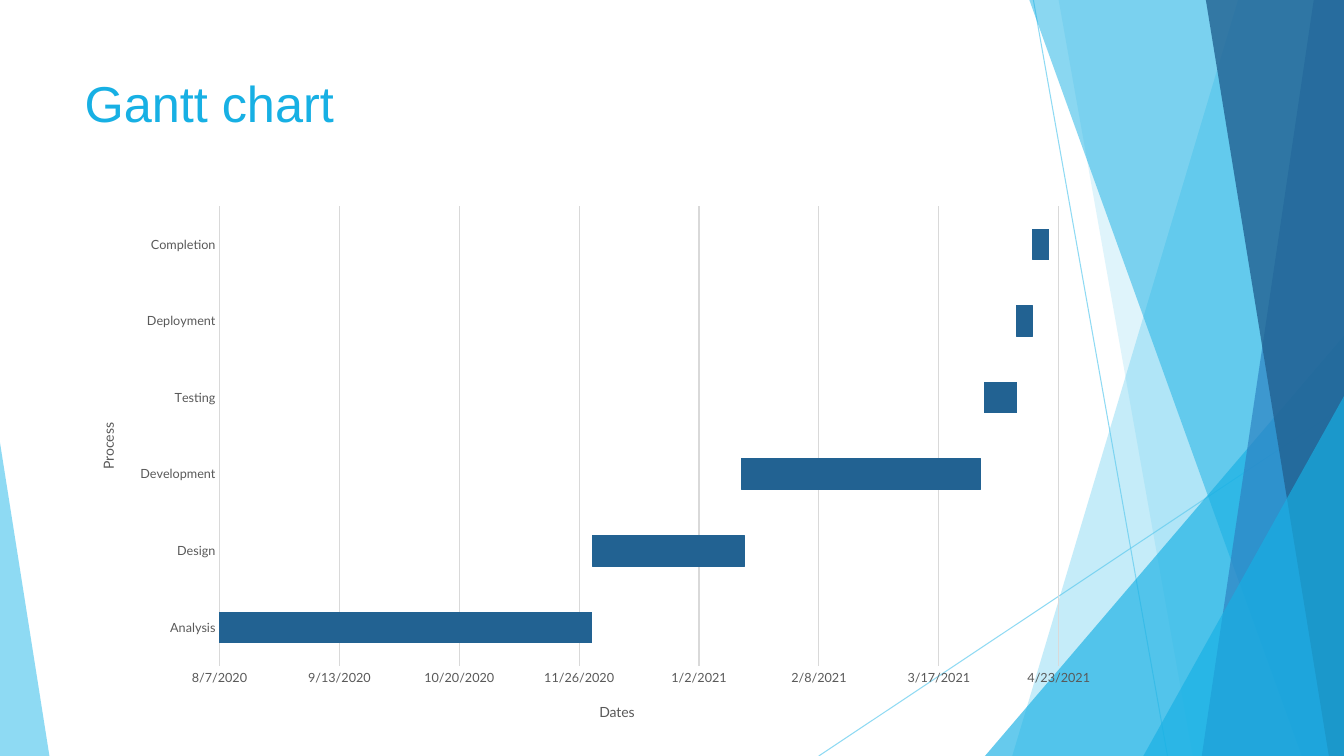
from typing import NamedTuple

import pptx
import pptx.chart.data
import pptx.dml.color
import pptx.enum.chart
import pptx.enum.shapes
import pptx.enum.text
import pptx.oxml
import pptx.oxml.ns
import pptx.util

SKY, CYAN, BLUE, NAVY = "5FCBEF", "17B0E4", "2E83C3", "226292"
GREY, PALE = "595959", "D9D9D9"
qn = pptx.oxml.ns.qn

prs = pptx.Presentation()
prs.slide_width = pptx.util.Inches(13.33)
prs.slide_height = pptx.util.Inches(7.5)


class Ray(NamedTuple):
    x1: float
    y1: float
    x2: float
    y2: float


class Band(NamedTuple):
    """Area right of a slanted edge from the slide's top to its bottom."""
    top_x: float
    bottom_x: float
    color: str
    opacity: int


class Corner(NamedTuple):
    """Right triangle standing on the bottom edge; apex 0 is left, 1 right."""
    left: float
    right: float
    top: float
    apex: int
    color: str
    opacity: int


class Task(NamedTuple):
    name: str
    start: int
    days: int


DECOR = [
    Ray(76.89, 0, 86.87, 100),
    Ray(100, 53.73, 60.92, 100),
    Band(92.12, 75.32, SKY, 36),
    Band(78.77, 88.75, SKY, 20),
    Corner(73.29, 100, 44.4, 1, CYAN, 66),
    Band(76.59, 96.85, CYAN, 50),
    Band(97.75, 89.42, BLUE, 70),
    Band(89.72, 98.87, NAVY, 80),
    Corner(85.07, 100, 52.4, 1, CYAN, 66),
    Corner(0, 3.68, 58.53, 0, SKY, 70),
]

# Days are spreadsheet serial dates; 44050 is 8/7/2020.
TASKS = [
    Task("Analysis", 44165, 0),
    Task("Design", 44165, 47),
    Task("Development", 44211, 74),
    Task("Testing", 44286, 10),
    Task("Deployment", 44296, 5),
    Task("Completion", 44301, 5),
]


def rgb(color: str) -> pptx.dml.color.RGBColor:
    return pptx.dml.color.RGBColor.from_string(color)


def across(percent: float) -> int:
    return round(prs.slide_width * percent / 100)


def down(percent: float) -> int:
    return round(prs.slide_height * percent / 100)


def set_opacity(sp, percent: int) -> None:
    for clr in sp.element.spPr.iter(qn("a:srgbClr")):
        pptx.oxml.ns  # namespace map used by qn
        clr.append(clr.makeelement(qn("a:alpha"), {"val": str(percent * 1000)}))


def paint(sp, color: str, opacity: int) -> None:
    sp.shadow.inherit = False
    sp.fill.solid()
    sp.fill.fore_color.rgb = rgb(color)
    sp.line.fill.background()
    set_opacity(sp, opacity)


def draw_ray(shapes, ray: Ray) -> None:
    line = shapes.add_connector(
        pptx.enum.shapes.MSO_CONNECTOR.STRAIGHT,
        across(ray.x1), down(ray.y1), across(ray.x2), down(ray.y2))
    line.line.color.rgb = rgb(SKY)
    line.line.width = pptx.util.Pt(0.75)
    set_opacity(line, 70)
    spPr = line.element.spPr
    spPr.append(spPr.makeelement(qn("a:effectLst"), {}))


def draw_band(shapes, band: Band) -> None:
    outline = shapes.build_freeform(across(band.top_x), 0)
    outline.add_line_segments([
        (across(100), 0), (across(100), down(100)),
        (across(band.bottom_x), down(100))], close=True)
    paint(outline.convert_to_shape(), band.color, band.opacity)


def draw_corner(shapes, corner: Corner) -> None:
    sp = shapes.add_shape(
        pptx.enum.shapes.MSO_SHAPE.ISOSCELES_TRIANGLE,
        across(corner.left), down(corner.top),
        across(corner.right - corner.left), down(100 - corner.top))
    sp.adjustments[0] = corner.apex
    paint(sp, corner.color, corner.opacity)


def set_layout(parent, index: int, **settings) -> None:
    """Give a chart part a manual layout in shares of the chart's size."""
    for old in parent.findall(qn("c:layout")):
        parent.remove(old)
    layout = parent.makeelement(qn("c:layout"), {})
    manual = layout.makeelement(qn("c:manualLayout"), {})
    layout.append(manual)
    for name, value in settings.items():
        manual.append(manual.makeelement(qn("c:" + name), {"val": str(value)}))
    parent.insert(index, layout)


def format_axis(axis, title: str, x: float, y: float, turn: int) -> None:
    axis.major_tick_mark = pptx.enum.chart.XL_TICK_MARK.NONE
    axis.minor_tick_mark = pptx.enum.chart.XL_TICK_MARK.NONE
    tf = axis.axis_title.text_frame
    tf.text = title
    for font, size in ((axis.tick_labels.font, 9),
                       (tf.paragraphs[0].runs[0].font, 10)):
        font.size = pptx.util.Pt(size)
        font.name = "Lato"
        font.bold = False
        font.color.rgb = rgb(GREY)
    for body in axis.axis_title.element.iter(qn("a:bodyPr")):
        body.set("rot", str(turn * 60000))
        body.set("vert", "horz")
    set_layout(axis.axis_title.element, 1, xMode="edge", yMode="edge", x=x, y=y)


def set_line(line, color: str) -> None:
    line.color.rgb = rgb(color)
    line.width = pptx.util.Pt(0.75)


def add_gantt(shapes) -> None:
    data = pptx.chart.data.CategoryChartData()
    data.categories = [task.name for task in TASKS]
    data.add_series("Series 1", [task.start for task in TASKS])
    data.add_series("Series 2", [task.days for task in TASKS])
    chart = shapes.add_chart(
        pptx.enum.chart.XL_CHART_TYPE.BAR_STACKED,
        across(5.55), down(23.87), across(79.29), down(73.87), data).chart
    chart.has_title = chart.has_legend = False
    chart.font.name = "Lato"
    chart.font.size = pptx.util.Pt(10)
    chart.font.color.rgb = rgb("000000")
    set_layout(chart.element.find(".//" + qn("c:plotArea")), 0,
               layoutTarget="inner", xMode="edge", yMode="edge",
               x=0.136, y=0.046, w=0.821, h=0.823)

    format_axis(chart.category_axis, "Process", 0.02, 0.43, -90)
    set_line(chart.category_axis.format.line, PALE)
    dates = chart.value_axis
    format_axis(dates, "Dates", 0.49, 0.93, 0)
    dates.minimum_scale, dates.maximum_scale, dates.major_unit = 44050, 44320, 37
    dates.tick_labels.number_format = "m/d/yyyy"
    dates.tick_labels.number_format_is_linked = False
    dates.format.line.fill.background()
    set_line(dates.major_gridlines.format.line, PALE)

    plot = chart.plots[0]
    plot.vary_by_categories = False
    plot.gap_width, plot.overlap = 150, 100
    starts, days = plot.series
    starts.format.fill.background()
    starts.format.line.fill.background()
    for bar in (starts.points[0], days):
        bar.format.fill.solid()
        bar.format.fill.fore_color.rgb = rgb(NAVY)
    set_line(days.format.line, NAVY)


def add_title(slide, text: str) -> None:
    title = slide.shapes.title
    title.left, title.top = across(5.55), down(8.93)
    title.width, title.height = across(70.52), down(19.2)
    tf = title.text_frame
    tf.text = text
    tf.auto_size = pptx.enum.text.MSO_AUTO_SIZE.NONE
    tf.vertical_anchor = pptx.enum.text.MSO_ANCHOR.TOP
    p = tf.paragraphs[0]
    p.alignment = pptx.enum.text.PP_ALIGN.LEFT
    font = p.runs[0].font
    font.name, font.size = "Arial", pptx.util.Pt(36)
    font.color.rgb = rgb(CYAN)


def main() -> None:
    slide = prs.slides.add_slide(prs.slide_layouts[5])
    add_title(slide, "Gantt chart")
    draw = {Ray: draw_ray, Band: draw_band, Corner: draw_corner}
    for part in DECOR:
        draw[type(part)](slide.shapes, part)
    add_gantt(slide.shapes)
    prs.save("out.pptx")


if __name__ == "__main__":
    main()
